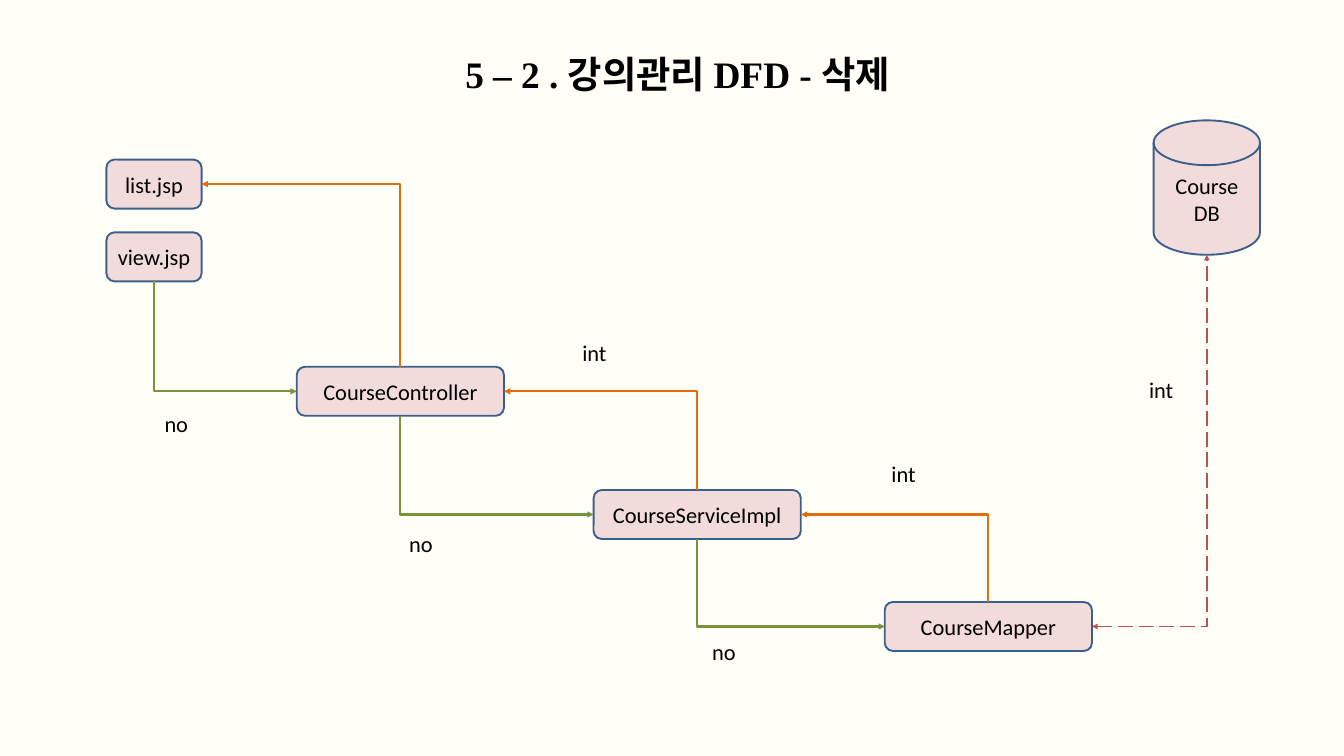
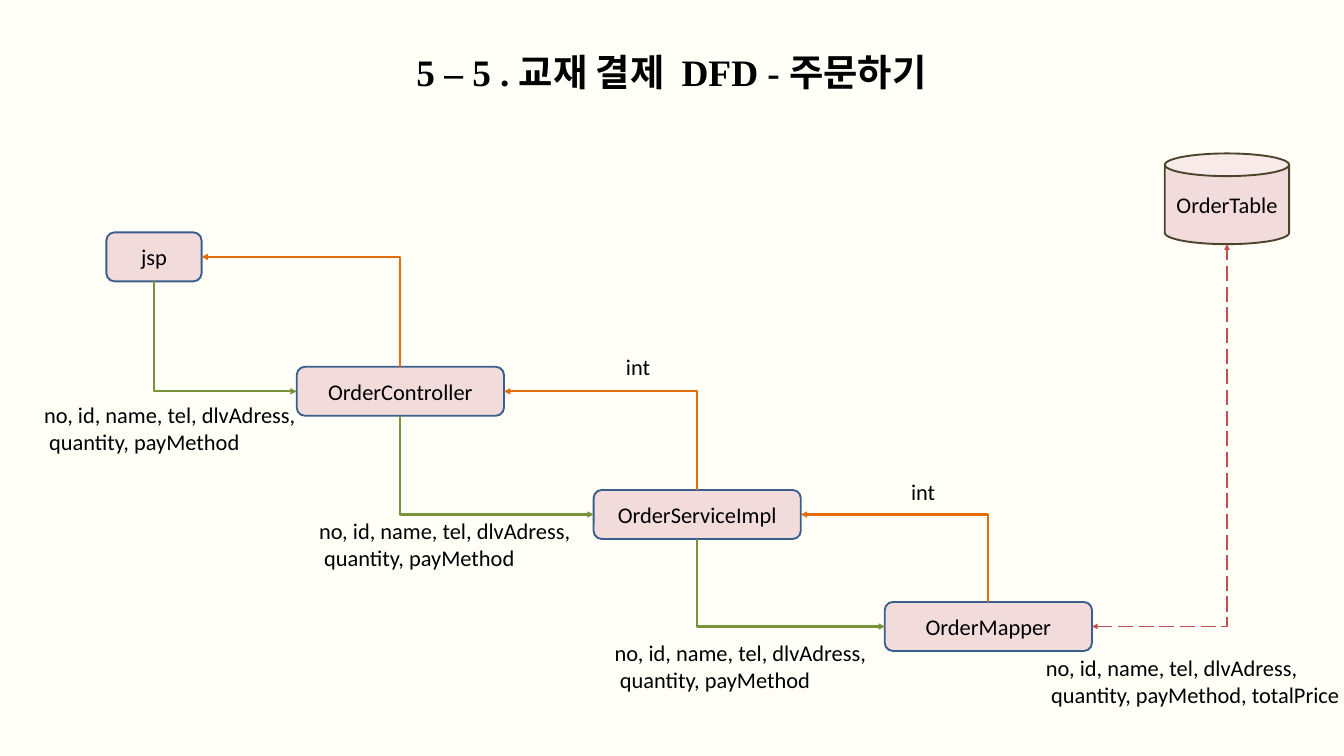
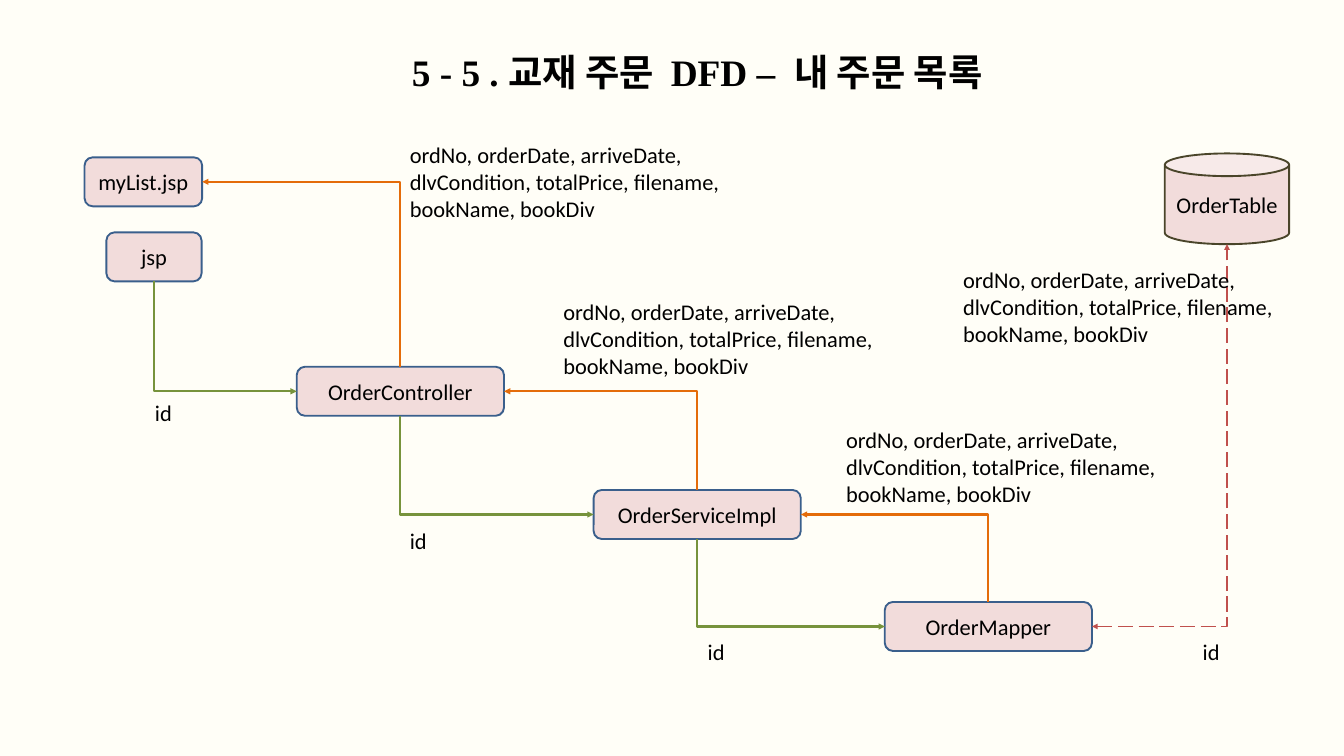
from lxml import etree
from pptx import Presentation
from pptx.dml.color import RGBColor
from pptx.enum.dml import MSO_LINE
from pptx.enum.shapes import MSO_CONNECTOR, MSO_SHAPE
from pptx.enum.text import MSO_ANCHOR, MSO_AUTO_SIZE, PP_ALIGN
from pptx.oxml.ns import qn
from pptx.util import Inches, Pt

ROUND = MSO_SHAPE.ROUNDED_RECTANGLE
DISK = MSO_SHAPE.FLOWCHART_MAGNETIC_DISK
CAN = MSO_SHAPE.CAN
ELBOW = MSO_CONNECTOR.ELBOW
DASH = MSO_LINE.LONG_DASH
CENTER, LEFT = PP_ALIGN.CENTER, PP_ALIGN.LEFT
TOP, MIDDLE = MSO_ANCHOR.TOP, MSO_ANCHOR.MIDDLE
GROW = MSO_AUTO_SIZE.SHAPE_TO_FIT_TEXT

CREAM = RGBColor(0xFF, 0xFE, 0xF7)
PINK = RGBColor(0xF2, 0xDC, 0xDB)
BLUE = RGBColor(0x3A, 0x5F, 0x8C)
BROWN = RGBColor(0x4A, 0x45, 0x2A)
GREEN = RGBColor(0x77, 0x93, 0x3C)
ORANGE = RGBColor(0xE4, 0x6C, 0x0A)
RED = RGBColor(0xC0, 0x50, 0x4D)
BLACK = RGBColor(0, 0, 0)

COLS, ROWS = 240, 135
CELL = Inches(20) // COLS
BOX_H = 8.75
STAGE_W = 37
STAGES = ((53, 65.5), (106, 87.5), (158, 107.5))
VIEW = (19, 41.5, 17, BOX_H)
TABLE = (208, 27.4, 22.2, 16.2)

FIELDS = "no, id, name, tel, dlvAdress,\n quantity, payMethod"
TOTAL = FIELDS + ", totalPrice"
ORDER = ("ordNo, orderDate, arriveDate,\n"
         "dlvCondition, totalPrice, filename,\nbookName, bookDiv")
WIDTHS = {"no": 6.7, "int": 6.8, "id": 5.5,
          FIELDS: 47.8, TOTAL: 55.3, ORDER: 59.2}

FLOWS = (
    dict(
        title=("5 – 2 . 강의관리 DFD - 삭제", (78, 8.5, 86, 9.2)),
        store=("Course\nDB", DISK, BLUE, (206, 21.5, 19, 24)),
        view="view.jsp", prefix="Course",
        result=("list.jsp", (19, 28.5, 17, BOX_H)),
        labels=(("int", 102.8, 60), ("int", 158, 81.5), ("int", 204, 66.5),
                ("no", 28.2, 72.6), ("no", 71.9, 94), ("no", 126, 113.3)),
    ),
    dict(
        title=("5 – 5 . 교재 결제  DFD - 주문하기", (69, 8.2, 101.8, 9.2)),
        store=("OrderTable", CAN, BROWN, TABLE),
        view="jsp", prefix="Order", result=None,
        labels=((FIELDS, 6.7, 71), (FIELDS, 55.8, 91.7),
                (FIELDS, 108.6, 113.5), (TOTAL, 185.6, 116.3),
                ("int", 161.5, 84.7), ("int", 110.6, 62.5)),
    ),
    dict(
        title=("5 - 5 . 교재 주문  DFD –  내 주문 목록", (69, 8.2, 111, 9.2)),
        store=("OrderTable", CAN, BROWN, TABLE),
        view="jsp", prefix="Order",
        result=("myList.jsp", (15.1, 28.1, 21, BOX_H)),
        labels=(("id", 26.5, 70.6), ("id", 72, 93.5), ("id", 125.2, 113.3),
                ("id", 213.6, 113.3), (ORDER, 72, 24.6), (ORDER, 99.4, 52.6),
                (ORDER, 149.9, 75.5), (ORDER, 170.8, 46.9)),
    ),
)


def grid(*cells):
    return [round(c * CELL) for c in cells]


def write(frame, text, align, anchor, size=24, font="Calibri", bold=False):
    frame.text = text
    frame.vertical_anchor = anchor
    for para in frame.paragraphs:
        para.alignment = align
        para.font.size = Pt(size)
        para.font.name = font
        para.font.bold = bold
        para.font.color.rgb = BLACK


def add_title(slide, text, area):
    title = slide.shapes.title
    title.left, title.top, title.width, title.height = grid(*area)
    write(title.text_frame, text, CENTER, TOP, 40, "Times New Roman", True)
    title.text_frame.word_wrap = True
    title.text_frame.auto_size = GROW


def add_node(slide, text, area, kind=ROUND, edge=BLUE):
    node = slide.shapes.add_shape(kind, *grid(*area))
    node.shadow.inherit = False
    node.fill.solid()
    node.fill.fore_color.rgb = PINK
    node.line.color.rgb = edge
    node.line.width = Pt(2)
    node.text_frame.word_wrap = True
    write(node.text_frame, text, CENTER, MIDDLE)
    return node


def add_label(slide, text, col, row):
    high = 1.2 + 4.86 * len(text.split("\n"))
    box = slide.shapes.add_textbox(*grid(col, row, WIDTHS[text], high))
    write(box.text_frame, text, LEFT, TOP)
    box.text_frame.word_wrap = False
    box.text_frame.auto_size = GROW


def side(node, across, down):
    return (round(node.left + node.width * across),
            round(node.top + node.height * down))


def add_bend(slide, start, end, color, width, ends):
    link = slide.shapes.add_connector(ELBOW, *start, *end)
    link.line.color.rgb = color
    link.line.width = Pt(width)
    props = link._element.spPr
    props.find(qn("a:prstGeom")).set("prst", "bentConnector2")
    etree.SubElement(props, qn("a:effectLst"))
    if len(ends) == 2:
        link.line.dash_style = DASH
    for end_tag in ends:
        etree.SubElement(props.find(qn("a:ln")), qn(end_tag), type="triangle")
    return link


def add_turn(slide, start, end, color):
    (x1, y1), (x2, y2) = start, end
    mid_x, mid_y = (x1 + x2) // 2, (y1 + y2) // 2
    half_x, half_y = (x2 - x1) // 2, (y2 - y1) // 2
    link = add_bend(slide, (mid_x + half_y, mid_y - half_x),
                    (mid_x - half_y, mid_y + half_x),
                    color, 2.25, ["a:tailEnd"])
    link._element.spPr.find(qn("a:xfrm")).set("rot", str(270 * 60000))


def add_flow(slide, title, store, view, prefix, result, labels):
    add_title(slide, *title)
    text, kind, edge, area = store
    base = add_node(slide, text, area, kind, edge)
    page = add_node(slide, view, VIEW)
    back = add_node(slide, *result) if result else page
    stages = [add_node(slide, prefix + part, (*spot, STAGE_W, BOX_H))
              for part, spot in zip(("Controller", "ServiceImpl", "Mapper"),
                                    STAGES)]
    add_bend(slide, side(stages[-1], 1, 0.5), side(base, 0.5, 1),
             RED, 2, ["a:headEnd", "a:tailEnd"])
    for prev, node in zip([page] + stages, stages):
        add_turn(slide, side(prev, 0.5, 1), side(node, 0, 0.5), GREEN)
    for prev, node in zip([back] + stages, stages):
        add_turn(slide, side(node, 0.5, 0), side(prev, 1, 0.5), ORANGE)
    for label in labels:
        add_label(slide, *label)


def main():
    deck = Presentation()
    deck.slide_width, deck.slide_height = COLS * CELL, ROWS * CELL
    fill = deck.slide_master.background.fill
    fill.solid()
    fill.fore_color.rgb = CREAM
    for flow in FLOWS:
        add_flow(deck.slides.add_slide(deck.slide_layouts[5]), **flow)
    deck.save("out.pptx")


if __name__ == "__main__":
    main()
